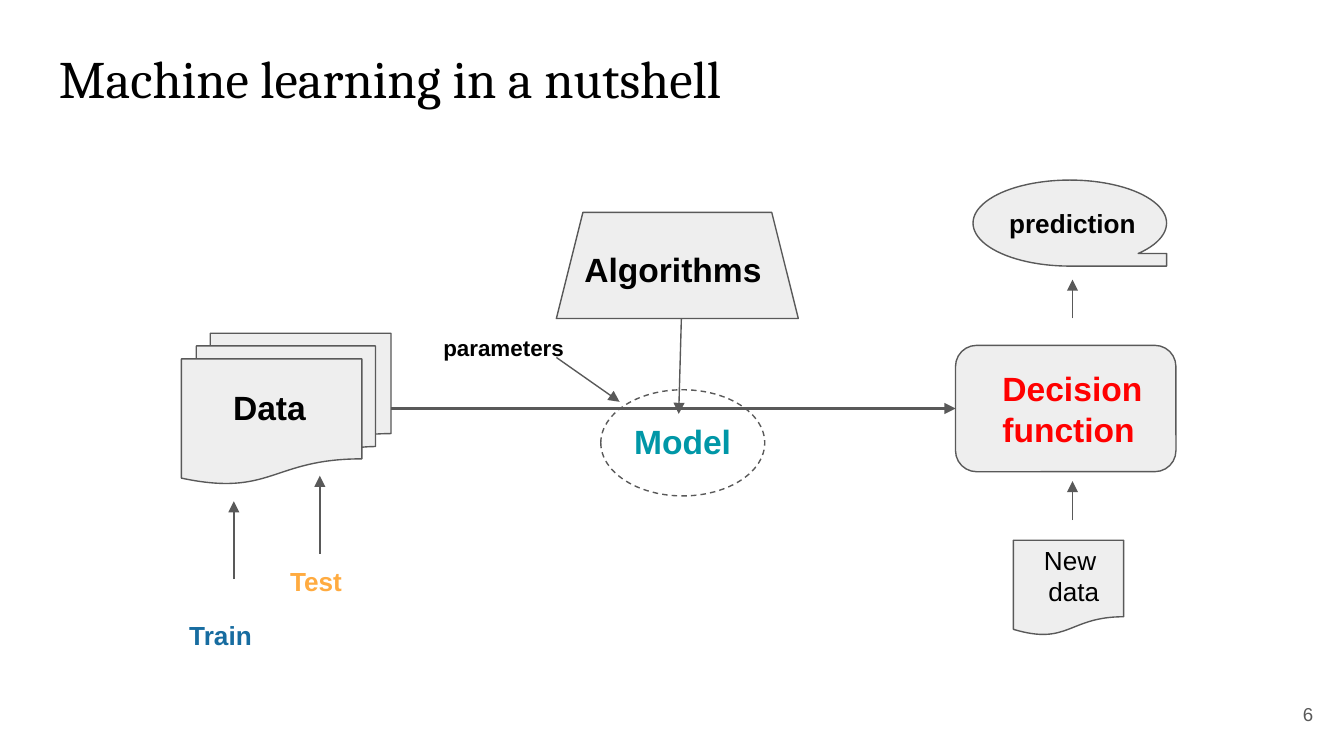
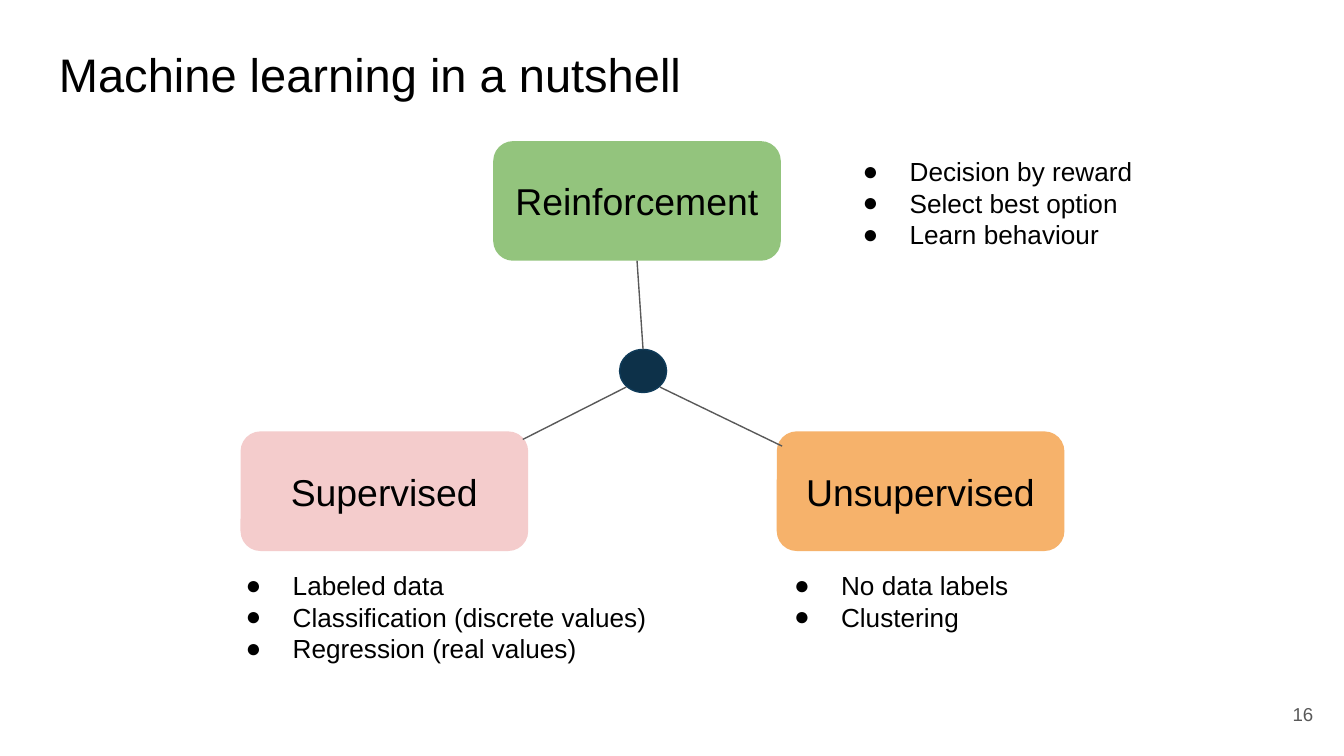
from collections import namedtuple

from lxml.etree import SubElement
from pptx import Presentation
from pptx.dml.color import RGBColor
from pptx.enum.dml import MSO_LINE
from pptx.enum.shapes import MSO_CONNECTOR, MSO_SHAPE
from pptx.enum.text import MSO_ANCHOR, PP_ALIGN
from pptx.oxml.ns import qn
from pptx.util import Inches, Pt

COLORS = {
    "text": "000000", "line": "595959", "panel": "EEEEEE",
    "decision": "FF0000", "model": "0097A7", "train": "176CA0", "test": "FFAB40",
    "supervised": "F4CCCC", "unsupervised": "F6B26B", "reinforcement": "93C47D",
    "hub": "0D3149", "hub_line": "0F3B59",
}
TITLE = "Machine learning in a nutshell"

Box = namedtuple("Box", "x y w h")


def rgb(name):
    """Return the named colour."""
    return RGBColor.from_string(COLORS[name])


def inside(box, dx, dy, w, h):
    """Return a box offset from the corner of another box."""
    return Box(box.x + dx, box.y + dy, w, h)


def add_bullet(p, char, size, color):
    """Give a paragraph a hanging bullet."""
    pPr = p._p.get_or_add_pPr()
    pPr.set("marL", str(Inches(0.5)))
    pPr.set("indent", str(Inches(-0.35)))
    buClr = SubElement(pPr, qn("a:buClr"))
    SubElement(buClr, qn("a:srgbClr")).set("val", COLORS[color])
    SubElement(pPr, qn("a:buSzPts")).set("val", str(size * 100))
    SubElement(pPr, qn("a:buFont")).set("typeface", "Arial")
    SubElement(pPr, qn("a:buChar")).set("char", char)


def write(sp, lines, size, color="text", bold=False, font="Arial",
          align=PP_ALIGN.LEFT, anchor=MSO_ANCHOR.TOP, bullet=None):
    """Fill a shape with one paragraph per line."""
    tf = sp.text_frame
    tf.word_wrap = True
    tf.vertical_anchor = anchor
    tf.margin_left = tf.margin_right = tf.margin_top = tf.margin_bottom = Inches(0.1)
    for i, line in enumerate(lines):
        p = tf.add_paragraph() if i else tf.paragraphs[0]
        p.alignment = align
        if bullet:
            add_bullet(p, bullet, size, color)
        r = p.add_run()
        r.text = line
        r.font.name = font
        r.font.size = Pt(size)
        r.font.bold = bold
        r.font.color.rgb = rgb(color)


def add_text(shapes, box, lines, size, **style):
    """Add a text box."""
    write(shapes.add_textbox(*map(Inches, box)), lines, size, **style)


def add_panel(shapes, kind, box, fill="panel", line="line"):
    """Add a preset shape, filled and outlined unless told otherwise."""
    sp = shapes.add_shape(kind, *map(Inches, box))
    sp.shadow.inherit = False
    if fill:
        sp.fill.solid()
        sp.fill.fore_color.rgb = rgb(fill)
    else:
        sp.fill.background()
    if line:
        sp.line.color.rgb = rgb(line)
        sp.line.width = Pt(0.75)
    else:
        sp.line.fill.background()
    return sp


def add_line(shapes, start, end, width=0.75, arrow=True):
    """Add a straight line, by default with an arrowhead at its end."""
    cx = shapes.add_connector(MSO_CONNECTOR.STRAIGHT, *map(Inches, start + end))
    cx.line.color.rgb = rgb("line")
    cx.line.width = Pt(width)
    if arrow:
        SubElement(cx.line._get_or_add_ln(), qn("a:tailEnd")).set("type", "triangle")
    SubElement(cx._element.spPr, qn("a:effectLst"))
    return cx


def add_up_arrow(shapes, x, bottom, length):
    """Add an arrow that points straight up."""
    add_line(shapes, (x, bottom), (x, bottom - length))


def add_frame(prs, number, title_size, title_font):
    """Add a blank slide with its title and page number."""
    s = prs.slides.add_slide(prs.slide_layouts[6])
    add_text(s.shapes, Box(0.34, 0.24, 9.32, 0.63), [TITLE], title_size, font=title_font)
    add_text(s.shapes, Box(9.27, 5.1, 0.6, 0.43), [number], 10, color="line",
             align=PP_ALIGN.RIGHT, anchor=MSO_ANCHOR.MIDDLE)
    return s


def add_labelled(s, kind, box, label_box, lines, size, **style):
    """Group a panel with the text laid over it and return the panel."""
    shapes = s.shapes.add_group_shape().shapes
    sp = add_panel(shapes, kind, box)
    add_text(shapes, label_box, lines, size, **style)
    return sp


def add_data(s, box):
    """Add the data documents with the train and test sets below."""
    data = add_labelled(s, MSO_SHAPE.FLOWCHART_MULTIDOCUMENT, box,
                        inside(box, 0.11, 0.3, 1.09, 0.54), ["Data"], 18,
                        bold=True, align=PP_ALIGN.CENTER)
    for name, dx, dy, arrow_dx, arrow_dy in (("Train", -0.04, 2.03, 0.39, 1.83),
                                             ("Test", 0.71, 1.63, 1.03, 1.64)):
        add_text(s.shapes, inside(box, dx, dy, 1.06, 0.64), [name], 14,
                 color=name.lower(), bold=True)
        add_up_arrow(s.shapes, box.x + arrow_dx, box.y + arrow_dy, 0.58)
    return data


def add_decision(s, box):
    """Add the decision function with new data below and the prediction above."""
    decision = add_labelled(s, MSO_SHAPE.ROUNDED_RECTANGLE, box,
                            inside(box, 0.25, 0.07, 1.72, 1.05),
                            ["Decision", "function"], 18, color="decision", bold=True)
    add_labelled(s, MSO_SHAPE.FLOWCHART_DOCUMENT, inside(box, 0.43, 1.45, 0.82, 0.71),
                 inside(box, 0.51, 1.38, 0.74, 0.79), ["New ", "data"], 14,
                 align=PP_ALIGN.CENTER)
    add_panel(s.shapes, MSO_SHAPE.FLOWCHART_SEQUENTIAL_ACCESS_STORAGE,
              inside(box, 0.13, -1.23, 1.44, 0.64))
    add_text(s.shapes, inside(box, 0.09, -1.13, 1.56, 0.64), ["prediction"], 14,
             bold=True, align=PP_ALIGN.CENTER)
    for dy in (1.3, -0.2):
        add_up_arrow(s.shapes, box.x + 0.87, box.y + dy, 0.29)
    return decision


def add_model(s, box):
    """Add the algorithms and parameters that lead into the model."""
    add_labelled(s, MSO_SHAPE.TRAPEZOID, inside(box, 0, 0, 1.8, 0.79),
                 inside(box, 0.11, 0.17, 1.64, 0.62), ["Algorithms"], 18, bold=True)
    add_line(s.shapes, (box.x + 0.93, box.y + 0.79), (box.x + 0.91, box.y + 1.5))
    model = add_panel(s.shapes, MSO_SHAPE.OVAL, inside(box, 0.33, 1.32, 1.22, 0.79),
                      fill=None)
    model.line.dash_style = MSO_LINE.DASH
    add_text(s.shapes, inside(box, 0.48, 1.45, 1.56, 0.64), ["Model"], 18,
             color="model", bold=True)
    add_line(s.shapes, (box.x, box.y + 1.08), (box.x + 0.47, box.y + 1.41))
    add_text(s.shapes, inside(box, -0.94, 0.81, 1.22, 0.64), ["parameters"], 12, bold=True)


def build_workflow(prs):
    """Build the slide that leads from data to decision function."""
    s = add_frame(prs, "6", 28.2, "Cambria")
    decision = add_decision(s, Box(7.11, 2.57, 1.64, 0.94))
    data = add_data(s, Box(1.35, 2.48, 1.56, 1.12))
    cx = add_line(s.shapes, (2.91, 3.04), (7.11, 3.04), width=1.5)
    cx.begin_connect(data, 3)
    cx.end_connect(decision, 1)
    add_model(s, Box(4.14, 1.58, 1.8, 2.11))


def add_branch(s, box, name, notes, notes_box):
    """Add one kind of learning with its bullet list."""
    sp = add_panel(s.shapes, MSO_SHAPE.ROUNDED_RECTANGLE, box, fill=name.lower(), line=None)
    write(sp, [name], 20, align=PP_ALIGN.CENTER, anchor=MSO_ANCHOR.MIDDLE)
    add_text(s.shapes, notes_box, notes, 14, bullet="●")
    return sp


def add_hub(s, box, top_branch):
    """Add the central dot and its lines to the three branches."""
    hub = add_panel(s.shapes, MSO_SHAPE.OVAL, box, fill="hub", line="hub_line")
    cx = add_line(s.shapes, (box.x + 0.18, box.y), (box.x + 0.13, box.y - 0.66), arrow=False)
    cx.begin_connect(hub, 0)
    cx.end_connect(top_branch, 2)
    for dx, end_dx, end_dy in ((0.05, -0.72, 0.67), (0.3, 1.21, 0.72)):
        add_line(s.shapes, (box.x + dx, box.y + 0.28),
                 (box.x + end_dx, box.y + end_dy), arrow=False)


def build_branches(prs):
    """Build the slide with the three kinds of learning."""
    s = add_frame(prs, "16", 25.2, "Arial")
    w, h = 2.14, 0.89
    supervised, unsupervised = Box(1.79, 3.21, w, h), Box(5.78, 3.21, w, h)
    reinforcement = Box(3.67, 1.05, w, h)
    add_branch(s, supervised, "Supervised",
               ["Labeled data", "Classification (discrete values)",
                "Regression (real values)"],
               inside(supervised, -0.21, 0.93, 3.54, 0.86))
    add_branch(s, unsupervised, "Unsupervised", ["No data labels", "Clustering"],
               inside(unsupervised, -0.12, 0.93, 3.16, 0.86))
    top = add_branch(s, reinforcement, "Reinforcement",
                     ["Decision by reward", "Select best option", "Learn behaviour"],
                     inside(reinforcement, 2.5, 0.01, 3.16, 0.86))
    add_hub(s, Box(4.61, 2.6, 0.35, 0.32), top)


def main():
    """Build and save the presentation."""
    prs = Presentation()
    prs.slide_width = Inches(10)
    prs.slide_height = Inches(10) * 9 // 16
    build_workflow(prs)
    build_branches(prs)
    prs.save("out.pptx")


if __name__ == "__main__":
    main()
